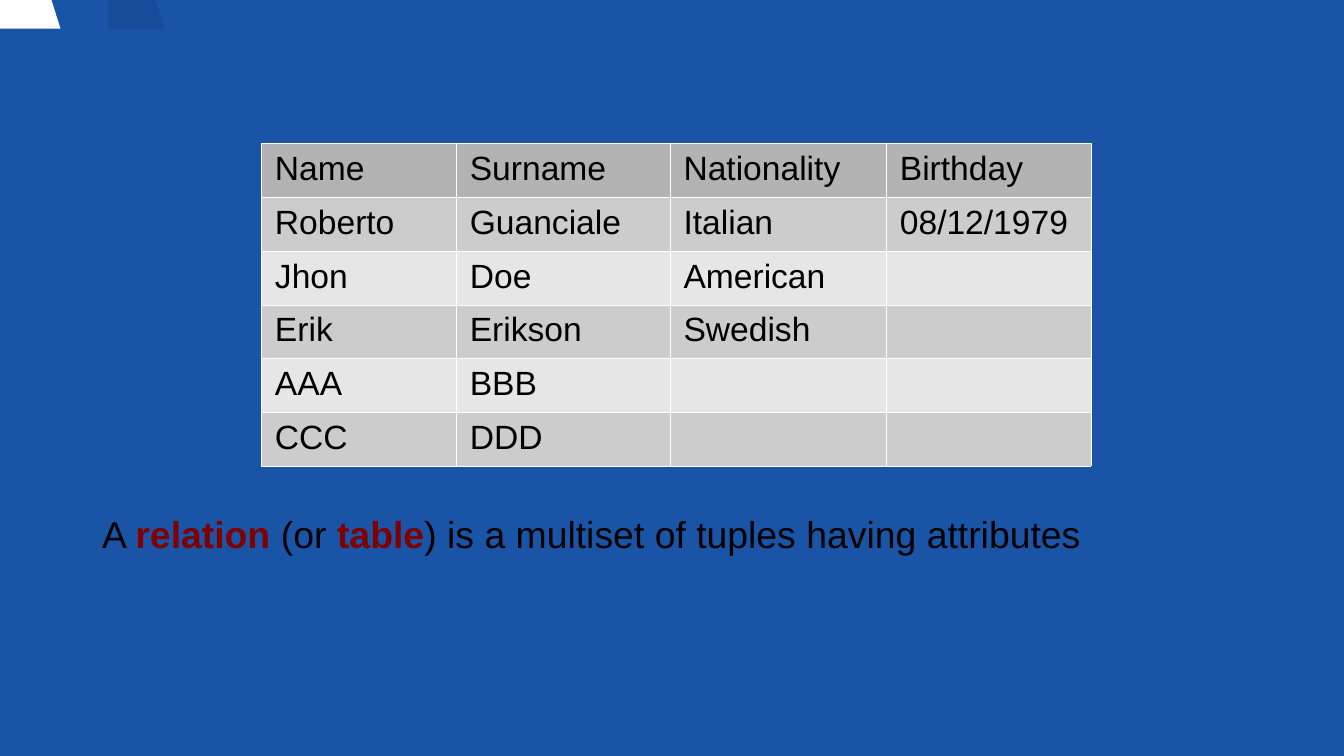
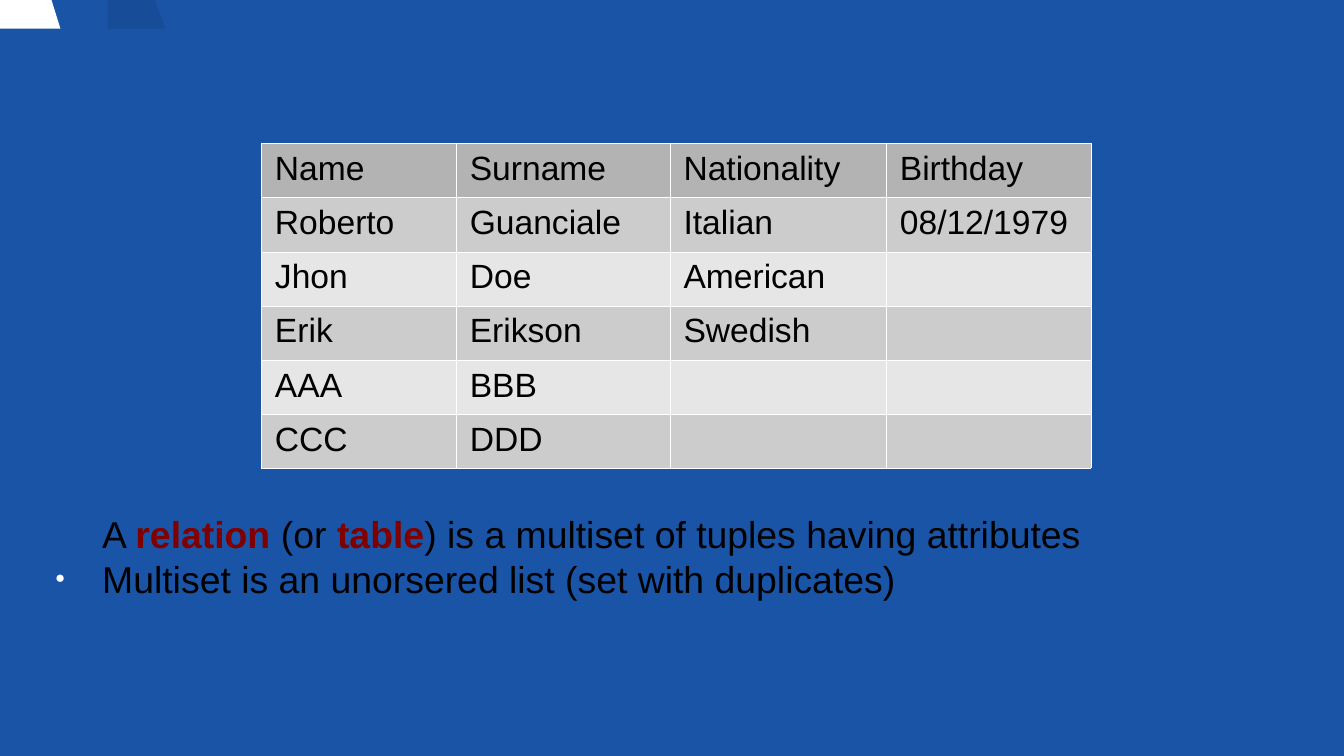
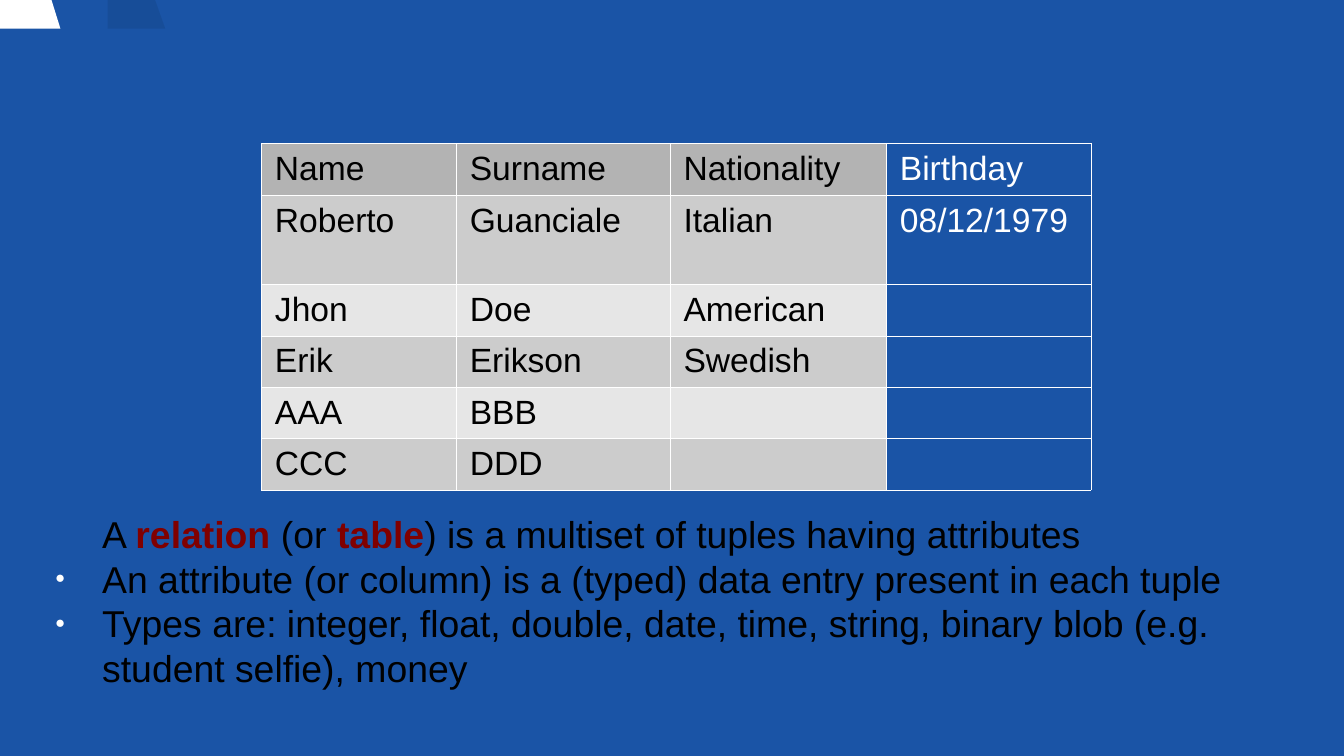
from dataclasses import dataclass

from lxml.etree import SubElement
from pptx import Presentation
from pptx.dml.color import RGBColor
from pptx.enum.text import MSO_ANCHOR, MSO_AUTO_SIZE
from pptx.oxml.ns import qn
from pptx.util import Inches, Pt

SLIDE_WIDTH, SLIDE_HEIGHT = Inches(10), Inches(5.625)


@dataclass(frozen=True)
class Theme:
    font: str = "Arial"
    background: str = "1A54A6"
    white: str = "FFFFFF"
    black: str = "000000"
    keyword: str = "800000"
    header_row: str = "B3B3B3"
    odd_row: str = "CCCCCC"
    even_row: str = "E6E6E6"
    cell_size: int = 18
    body_size: int = 20
    border_width: float = 0.06
    line_spacing: float = 1.0
    bullet_percent: int = 45
    shade_percent: int = 8


THEME = Theme()

PEOPLE = [
    ("Name", "Surname", "Nationality", "Birthday"),
    ("Roberto", "Guanciale", "Italian", "08/12/1979"),
    ("Jhon", "Doe", "American", ""),
    ("Erik", "Erikson", "Swedish", ""),
    ("AAA", "BBB", "", ""),
    ("CCC", "DDD", "", ""),
]
BIRTHDAY = PEOPLE[0].index("Birthday")

# Text and whether it is a keyword
DEFINITION = [
    ("A ", False),
    ("relation", True),
    (" (or ", False),
    ("table", True),
    (") is a multiset of tuples having attributes", False),
]

# Lengths in percent of the slide's size
COLUMN_WIDTHS = (14.5, 15.9, 16.1, 15.2)
COMPACT_HEIGHTS = (7.12,) * len(PEOPLE)
EVEN_HEIGHTS = (7.17,) * len(PEOPLE)
TALL_FIRST_PERSON = (6.88, 11.8) + (6.8,) * (len(PEOPLE) - 2)


def across(percent):
    return int(SLIDE_WIDTH * percent / 100)


def down(percent):
    return int(SLIDE_HEIGHT * percent / 100)


def rgb(color):
    return RGBColor.from_string(color)


def style_font(font, size, color):
    font.name = THEME.font
    font.size = Pt(size)
    font.color.rgb = rgb(color)


# Shared master: background and corner bands
def add_band(slide, master, left, top_right, bottom_right, frame_width, color,
             opacity=100):
    top, bottom = down(-0.2), down(3.8)
    outline = slide.shapes.build_freeform(across(left), top)
    outline.add_line_segments([
        (across(left), bottom),
        (across(bottom_right), bottom),
        (across(top_right), top),
    ])
    band = outline.convert_to_shape()
    # The frame spans the slide while the outline keeps to its corner
    band.width, band.height = across(frame_width), down(100.4)
    corner = next(band.element.iter(qn("a:path")))
    corner.set("w", str(band.width))
    corner.set("h", str(band.height))
    band.shadow.inherit = False
    band.line.fill.background()
    band.fill.solid()
    band.fill.fore_color.rgb = rgb(color)
    if opacity < 100:
        tint = band.element.spPr.find(qn("a:solidFill"))[0]
        SubElement(tint, qn("a:alpha"), val=str(opacity * 1000))
    master.shapes.element.append(band.element)


def prepare_master(master, slide):
    master.background.fill.solid()
    master.background.fill.fore_color.rgb = rgb(THEME.background)
    add_band(slide, master, 8, 11.5, 12.3, 106.5, THEME.black,
             THEME.shade_percent)
    add_band(slide, master, 0, 3.8, 4.5, 113.4, THEME.white)


def place_body(layout):
    body = layout.placeholders[1]
    body.left, body.top = across(1.9), down(65.8)
    body.width, body.height = across(94.1), down(32.5)


# Table of people
def draw_borders(cell):
    properties = cell._tc.get_or_add_tcPr()
    for side in ("a:lnL", "a:lnR", "a:lnT", "a:lnB"):
        border = SubElement(properties, qn(side), w=str(Pt(THEME.border_width)))
        fill = SubElement(border, qn("a:solidFill"))
        SubElement(fill, qn("a:srgbClr"), val=THEME.white)


def row_color(row):
    if row == 0:
        return THEME.header_row
    return THEME.odd_row if row % 2 else THEME.even_row


def add_people(slide, heights, highlighted=None):
    frame = slide.shapes.add_table(
        len(PEOPLE), len(COLUMN_WIDTHS), across(19.46), down(18.95),
        across(sum(COLUMN_WIDTHS)), down(sum(heights)))
    people = frame.table
    people.first_row = people.horz_banding = False
    for column, width in zip(people.columns, COLUMN_WIDTHS):
        column.width = across(width)
    for row, height in zip(people.rows, heights):
        row.height = down(height)
    for r, person in enumerate(PEOPLE):
        for c, value in enumerate(person):
            marked = c == highlighted
            cell = people.cell(r, c)
            draw_borders(cell)
            cell.fill.solid()
            cell.fill.fore_color.rgb = rgb(
                THEME.background if marked else row_color(r))
            cell.text = value
            style_font(cell.text_frame.paragraphs[0].font, THEME.cell_size,
                       THEME.white if marked else THEME.black)


# Definition and its bullets
def format_paragraph(paragraph, bulleted):
    properties = paragraph._p.get_or_add_pPr()
    properties.set("marL", str(Inches(0.47)))
    properties.set("indent", str(Inches(-0.35) if bulleted else 0))
    if bulleted:
        color = SubElement(properties, qn("a:buClr"))
        SubElement(color, qn("a:srgbClr"), val=THEME.white)
        SubElement(properties, qn("a:buSzPct"),
                   val=str(THEME.bullet_percent * 1000))
        SubElement(properties, qn("a:buFont"), typeface=THEME.font)
        SubElement(properties, qn("a:buChar"), char="●")
    else:
        SubElement(properties, qn("a:buNone"))
    paragraph.line_spacing = THEME.line_spacing
    paragraph.space_before = Pt(0)
    style_font(paragraph.font, THEME.body_size, THEME.black)


def fill_body(slide, bullets):
    text = slide.placeholders[1].text_frame
    text.auto_size = MSO_AUTO_SIZE.NONE
    text.vertical_anchor = MSO_ANCHOR.TOP
    text.margin_left = text.margin_right = Inches(0.1)
    text.margin_top = text.margin_bottom = Inches(0.1)
    definition = text.paragraphs[0]
    format_paragraph(definition, bulleted=False)
    for words, is_keyword in DEFINITION:
        run = definition.add_run()
        run.text = words
        if is_keyword:
            run.font.bold = True
            run.font.color.rgb = rgb(THEME.keyword)
    for bullet in bullets:
        paragraph = text.add_paragraph()
        format_paragraph(paragraph, bulleted=True)
        paragraph.add_run().text = bullet


def add_relation_slide(deck, layout, heights, bullets=(), highlighted=None):
    slide = deck.slides.add_slide(layout)
    title = slide.shapes.title.element
    title.getparent().remove(title)
    add_people(slide, heights, highlighted)
    fill_body(slide, bullets)
    return slide


def main():
    deck = Presentation()
    deck.slide_width, deck.slide_height = SLIDE_WIDTH, SLIDE_HEIGHT
    layout = deck.slide_layouts[1]
    place_body(layout)

    relation = add_relation_slide(deck, layout, COMPACT_HEIGHTS)
    prepare_master(deck.slide_master, relation)
    add_relation_slide(deck, layout, EVEN_HEIGHTS, [
        "Multiset is an unorsered list (set with duplicates)",
    ])
    add_relation_slide(deck, layout, TALL_FIRST_PERSON, [
        "An attribute (or column) is a (typed) data entry present in each tuple",
        "Types are: integer, float, double, date, time, string, binary blob "
        "(e.g. student selfie), money",
    ], BIRTHDAY)

    deck.save("out.pptx")


if __name__ == "__main__":
    main()
